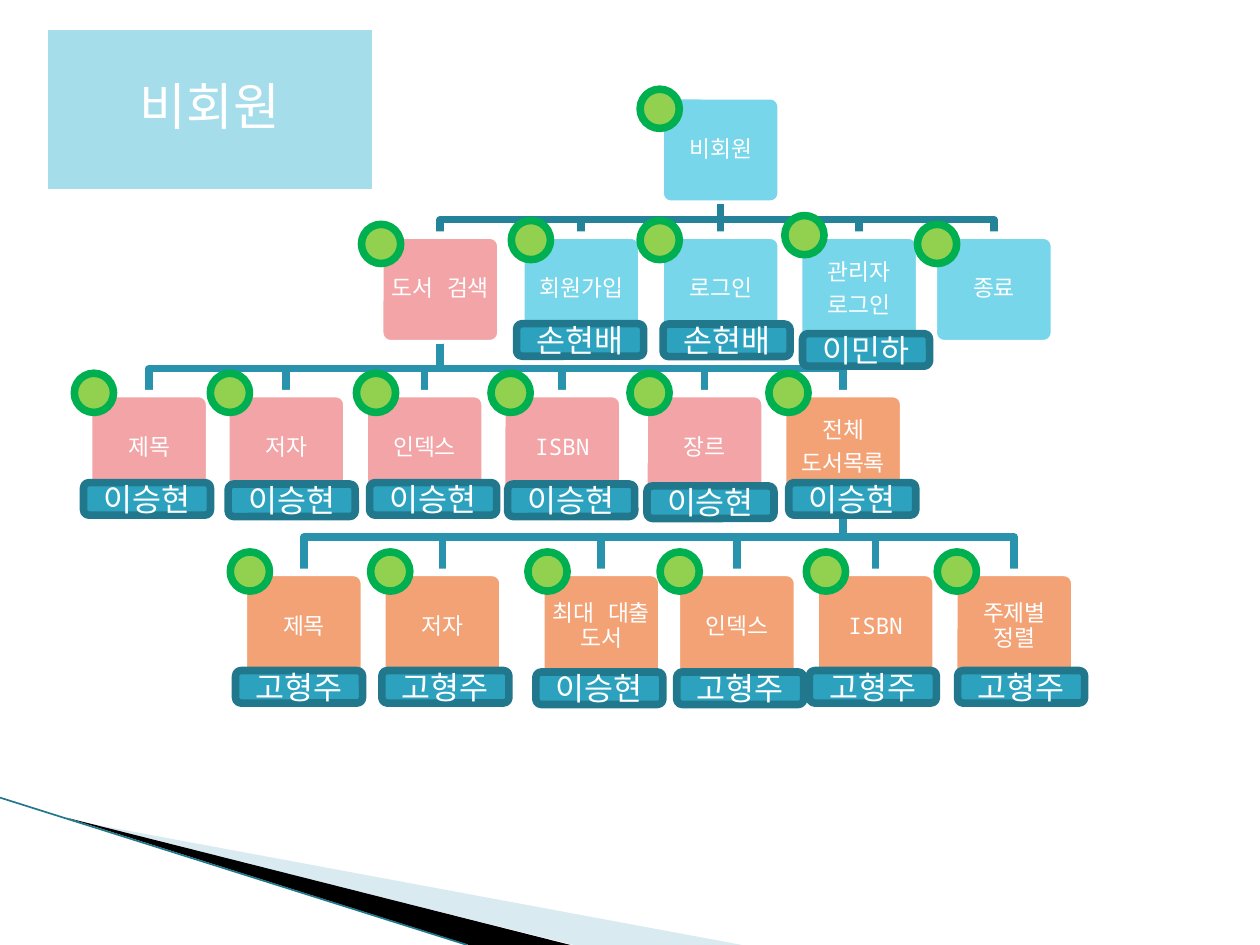
"""Draw the guest menu tree with a name tag for the owner of each item."""
import dataclasses
import pptx
import pptx.util
import pptx.dml.color
import pptx.enum.shapes
import pptx.enum.text
import pptx.oxml.ns
import lxml.etree

Pt = pptx.util.Pt
Kind = pptx.enum.shapes.MSO_SHAPE
Join = pptx.enum.shapes.MSO_CONNECTOR
CENTER = pptx.enum.text.PP_ALIGN.CENTER
MIDDLE = pptx.enum.text.MSO_ANCHOR.MIDDLE


@dataclasses.dataclass
class Theme:
    font: str = "Noto Sans Mono"
    white: str = "FFFFFF"
    black: str = "000000"
    title: str = "A6DDEA"
    sky: str = "78D6EA"
    pink: str = "F2A4A7"
    peach: str = "F3A276"
    lime: str = "92D050"
    green: str = "00B050"
    tag: str = "2DA2BF"
    edge: str = "21788D"
    upper: str = "248299"
    lower: str = "2993AD"
    wedge: str = "A0CBDC"
    head: int = 29
    body: int = 13
    name: int = 18
    stroke: float = 4.33


def put(item, values):
    for key, value in values.items():
        setattr(item, key, value)


def margins(gap):
    sides = ("left", "right", "top", "bottom")
    return {f"margin_{side}": Pt(gap) for side in sides}


def add(node, tag, **values):
    return lxml.etree.SubElement(node, pptx.oxml.ns.qn(tag), values)


class Board:
    card_w, card_h, dot_d, tag_w, tag_h = 69.2, 62, 22.4, 72.6, 18.6

    def __init__(self, theme, slide):
        self.theme, self.slide = theme, slide
        self.shapes = slide.shapes

    def paint(self, shape, fill, line, width=None):
        if fill:
            shape.fill.solid()
            shape.fill.fore_color.rgb = pptx.dml.color.RGBColor.from_string(fill)
        else:
            shape.fill.background()
        self.stroke(shape, line, width)
        shape.shadow.inherit = False

    def stroke(self, shape, color, width=None):
        if color:
            shape.line.color.rgb = pptx.dml.color.RGBColor.from_string(color)
            shape.line.width = Pt(width or self.theme.stroke)
        else:
            shape.line.fill.background()

    def words(self, shape, text, size, frame=None, para=None):
        box = shape.text_frame
        box.text = text
        put(box, {"word_wrap": True, "vertical_anchor": MIDDLE, **(frame or {})})
        for line in box.paragraphs:
            put(line, {"alignment": CENTER, **(para or {})})
            for run in line.runs:
                put(run.font, {"name": self.theme.font, "size": Pt(size), "bold": False})
                run.font.color.rgb = pptx.dml.color.RGBColor.from_string(self.theme.white)
                add(run.font._element, "a:ea", typeface=self.theme.font)

    def label(self, shape, text, size, gap):
        para = {"line_spacing": 0.9, "space_after": Pt(0.35 * size)}
        self.words(shape, text, size, margins(gap), para)

    def block(self, kind, left, top, width, height, fill, line):
        shape = self.shapes.add_shape(kind, Pt(left), Pt(top), Pt(width), Pt(height))
        self.paint(shape, fill, line)
        return shape

    def title(self, text, left, top, width, height):
        shape = self.shapes.title
        put(shape, {"left": Pt(left), "top": Pt(top), "width": Pt(width), "height": Pt(height)})
        shape.fill.solid()
        shape.fill.fore_color.rgb = pptx.dml.color.RGBColor.from_string(self.theme.title)
        self.stroke(shape, self.theme.white)
        self.label(shape, text, self.theme.head, 1.3)

    def card(self, text, left, top, fill):
        shape = self.block(Kind.ROUNDED_RECTANGLE, left, top, self.card_w, self.card_h,
                           fill, self.theme.white)
        shape.adjustments[0] = 0.1
        self.label(shape, text, self.theme.body, 3.6)

    def dot(self, left, top):
        self.block(Kind.OVAL, left, top, self.dot_d, self.dot_d,
                   self.theme.lime, self.theme.green)

    def tag(self, text, left, top):
        shape = self.block(Kind.ROUNDED_RECTANGLE, left, top, self.tag_w, self.tag_h,
                           self.theme.tag, self.theme.edge)
        self.words(shape, text, self.theme.name)

    def line(self, start, end, color, width=None):
        shape = self.shapes.add_connector(Join.STRAIGHT, *map(Pt, start + end))
        self.stroke(shape, color, width)
        add(shape._element.spPr, "a:effectLst")

    def free(self, points, fill=None, line=None, close=False):
        first, *rest = [(Pt(x), Pt(y)) for x, y in points]
        pen = self.shapes.build_freeform(*first)
        pen.add_line_segments(rest, close=close)
        shape = pen.convert_to_shape()
        self.paint(shape, fill, line)
        return shape

    def link(self, root, child, color):
        (left, top), (x, y) = root, child
        start = (left + self.card_w / 2, top + self.card_h)
        end = (x + self.card_w / 2, y)
        if start[0] == end[0]:
            self.line(start, end, color)
        else:
            mid = (start[1] + y) / 2
            self.free([start, (start[0], mid), (end[0], mid), end], line=color)

    def wedges(self):
        pale = self.free([(39.6, 468.5), (424, 540), (328, 540)], self.theme.wedge, close=True)
        tint = pale._element.spPr.find(".//" + pptx.oxml.ns.qn("a:srgbClr"))
        add(tint, "a:alpha", val="40000")
        self.free([(38.2, 467.3), (326, 540), (268, 540)], self.theme.black, close=True)
        self.line((0, 455.8), (267, 540), self.theme.edge, 0.95)


def main():
    deck = pptx.Presentation()
    put(deck, {"slide_width": Pt(720), "slide_height": Pt(540)})
    theme = Theme()
    board = Board(theme, deck.slides.add_slide(deck.slide_layouts[5]))
    sky, pink, peach = theme.sky, theme.pink, theme.peach
    root, search, books = (377.2, 54.7), (217, 134.4), (447.2, 224.9)
    rows = [
        (root, 134.4, theme.upper, [
            ("도서 검색", 217, pink, (206.6, 128.2), None),
            ("회원가입", 297.6, sky, (292.2, 126), ("손현배", 295.2, 185)),
            ("로그인", 377.2, sky, (365.8, 126), ("손현배", 378.9, 185.2)),
            ("관리자\n로그인", 456.3, sky, (448.5, 123.2), ("이민하", 458.6, 190.7)),
            ("종료", 533.3, sky, (524.3, 128.2), None)]),
        (search, 224.9, theme.lower, [
            ("제목", 50.6, pink, (42.5, 213.3), ("이승현", 47.7, 275.8)),
            ("저자", 129, pink, (120.2, 213.3), ("이승현", 130.4, 276.6)),
            ("인덱스", 208, pink, (203.7, 213.3), ("이승현", 211.2, 275.8)),
            ("ISBN", 286.7, pink, (280.6, 213.3), ("이승현", 290.1, 276.6)),
            ("장르", 368, pink, (360, 213.3), ("이승현", 369.7, 277.7)),
            ("전체\n도서목록", 447.2, peach, (439.4, 213.3), ("이승현", 450.7, 275.8))]),
        (books, 327.1, theme.lower, [
            ("제목", 139, peach, (131.6, 315.4), ("고형주", 134.6, 383.2)),
            ("저자", 218.2, peach, (211.8, 315.4), ("고형주", 218.2, 383.2)),
            ("최대 대출 도서", 309, peach, (301.7, 315.4), ("이승현", 306.2, 384)),
            ("인덱스", 386.5, peach, (377.2, 315.4), ("고형주", 386.7, 384)),
            ("ISBN", 465.8, peach, (460.8, 315.4), ("고형주", 462.5, 383.2)),
            ("주제별 정렬", 545, peach, (535.6, 315.4), ("고형주", 547.2, 383.2))]),
    ]
    board.wedges()
    board.title("비회원", 25.2, 15, 189.4, 95)
    board.card("비회원", *root, sky)
    for start, top, color, cards in rows:
        for _, left, *_ in cards:
            board.link(start, (left, top), color)
        for text, left, fill, *_ in cards:
            board.card(text, left, top, fill)
    board.dot(365.8, 51)
    for *_, cards in rows:
        for *_, dot, tag in cards:
            board.dot(*dot)
            if tag:
                board.tag(*tag)
    deck.save("out.pptx")


if __name__ == "__main__":
    main()
